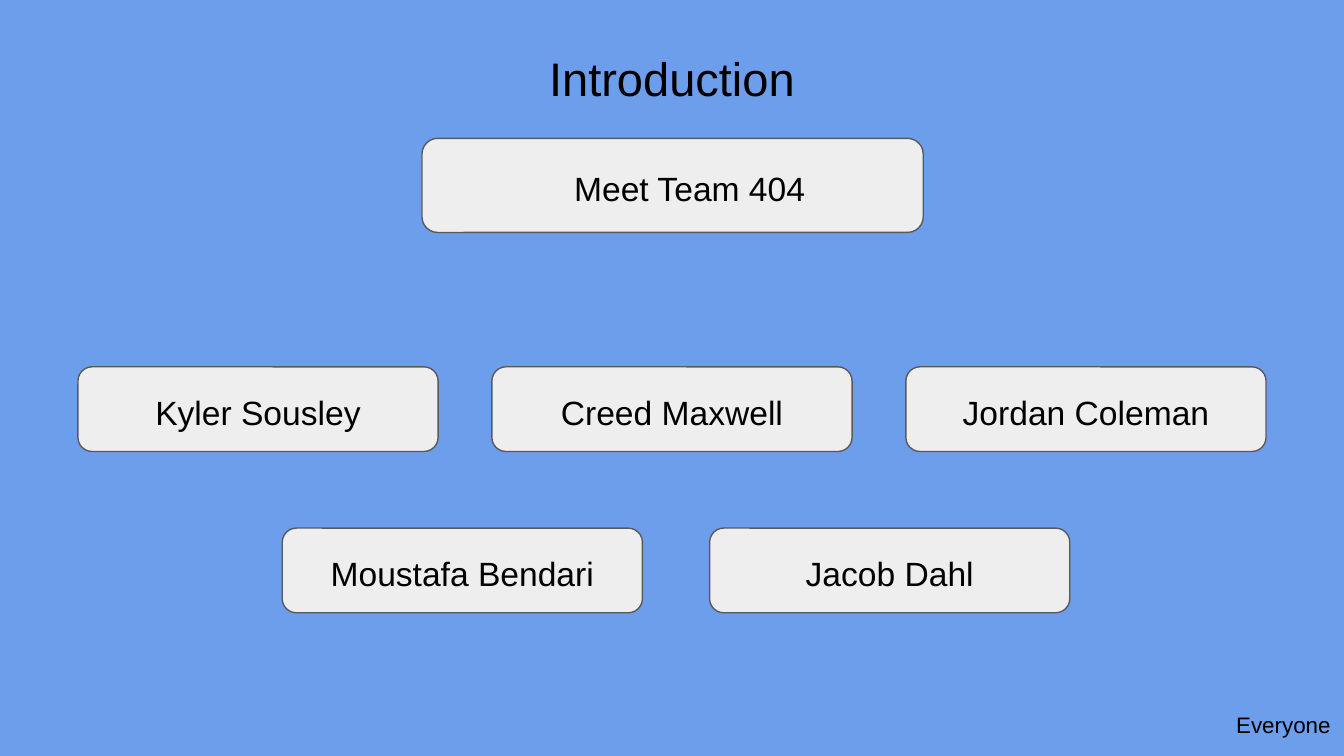
import pptx
import pptx.util
import pptx.dml.color
import pptx.enum.shapes
import pptx.enum.text

WIDE = 10
HIGH = WIDE * 9 / 16
ALIGN = pptx.enum.text.PP_ALIGN
ANCHOR = pptx.enum.text.MSO_ANCHOR
INCH = pptx.util.Inches


def paint(fill, tone):
    """Give a fill one solid colour from a hex string."""
    fill.solid()
    fill.fore_color.rgb = pptx.dml.color.RGBColor.from_string(tone)


def write(shape, text, size=18, align=ALIGN.CENTER, anchor=ANCHOR.TOP,
          tone="000000", lead=None, after=None, indent=0):
    """Put one formatted paragraph of text in a shape."""
    frame = shape.text_frame
    frame.word_wrap = True
    frame.auto_size = pptx.enum.text.MSO_AUTO_SIZE.NONE
    frame.vertical_anchor = anchor
    frame.margin_left = frame.margin_right = INCH(0.1)
    frame.margin_top = frame.margin_bottom = INCH(0.1)
    line = frame.paragraphs[0]
    line.alignment = align
    if lead:
        line.line_spacing = lead
    if after:
        line.space_after = pptx.util.Pt(after)
    if indent:
        props = line._p.get_or_add_pPr()
        props.set("marL", str(INCH(indent)))
        props.set("indent", str(INCH(indent)))
    run = line.add_run()
    run.text = text
    run.font.name = "Arial"
    run.font.size = pptx.util.Pt(size)
    paint(run.font.fill, tone)


def add_head(slide, text):
    """Place the slide title."""
    head = slide.shapes.title
    wide = 9.32
    head.left, head.top = INCH((WIDE - wide) / 2), INCH(0.27)
    head.width, head.height = INCH(wide), INCH(0.63)
    write(head, text, size=25.2)


def add_card(slide, text, left, top, wide, high, **style):
    """Add a rounded card with a text."""
    kind = pptx.enum.shapes.MSO_SHAPE.ROUNDED_RECTANGLE
    card = slide.shapes.add_shape(
        kind, INCH(left), INCH(top), INCH(wide), INCH(high))
    card.shadow.inherit = False
    paint(card.fill, "EEEEEE")
    paint(card.line.fill, "595959")
    card.line.width = pptx.util.Pt(0.75)
    write(card, text, anchor=ANCHOR.MIDDLE, lead=1.15, after=12, **style)


def add_row(slide, names, left, top, step):
    """Add a row of name cards at equal steps."""
    for col, name in enumerate(names):
        add_card(slide, name, left + col * step, top, 2.68, 0.63)


def add_note(slide, text):
    """Add the small text in the lower right corner."""
    wide = 1.6
    note = slide.shapes.add_textbox(
        INCH(WIDE - wide), INCH(5.19), INCH(wide), INCH(0.28))
    write(note, text, size=12, align=ALIGN.RIGHT)


def main():
    """Build the team slide and save it."""
    deck = pptx.Presentation()
    deck.slide_width, deck.slide_height = INCH(WIDE), INCH(HIGH)
    slide = deck.slides.add_slide(deck.slide_layouts.get_by_name("Title Only"))
    paint(slide.background.fill, "6D9EEB")
    add_head(slide, "Introduction")
    add_card(slide, "Meet Team 404", 3.14, 1.03, 3.73, 0.7,
             align=ALIGN.LEFT, indent=0.5)
    team = ["Kyler Sousley", "Creed Maxwell", "Jordan Coleman"]
    add_row(slide, team, 0.58, 2.73, 3.08)
    add_row(slide, ["Moustafa Bendari", "Jacob Dahl"], 2.1, 3.93, 3.18)
    add_note(slide, "Everyone")
    deck.save("out.pptx")


if __name__ == "__main__":
    main()
